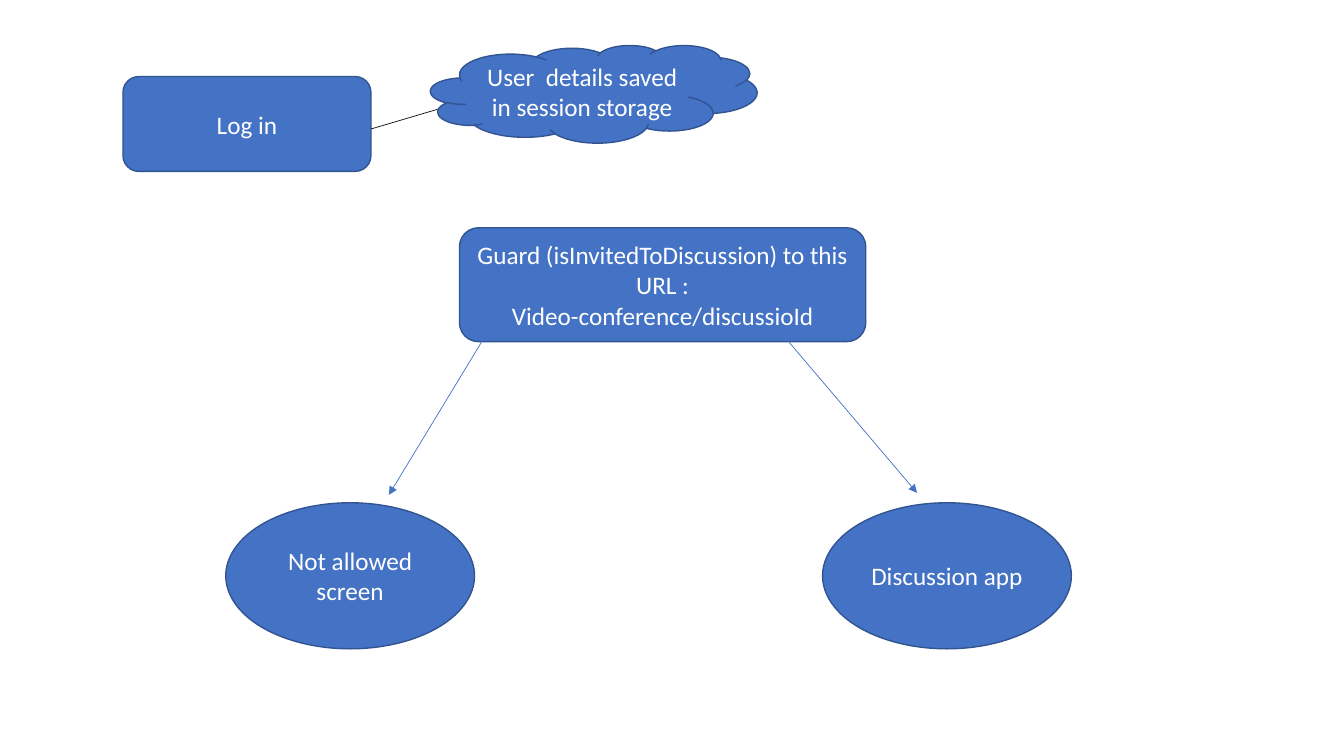
from pptx import Presentation
from pptx.dml.color import RGBColor
from pptx.enum.shapes import MSO_CONNECTOR as Connector, MSO_SHAPE as Shape
from pptx.enum.text import MSO_ANCHOR as Anchor, PP_ALIGN as Align
from pptx.oxml.ns import qn
from pptx.util import Cm, Pt
from lxml.etree import SubElement

BLUE = RGBColor(0x44, 0x72, 0xC4)
DARK_BLUE = RGBColor(0x32, 0x54, 0x91)
BLACK = RGBColor(0x0D, 0x0D, 0x0D)
WHITE = RGBColor(0xFF, 0xFF, 0xFF)

OUTCOME_TOP, OUTCOME_WIDTH, OUTCOME_HEIGHT = 12.67, 6.27, 3.68


def add_node(s, kind, left, top, width, height, *lines):
    """Add a filled shape with centred text, its lines split by line breaks."""
    sp = s.shapes.add_shape(kind, Cm(left), Cm(top), Cm(width), Cm(height))
    sp.shadow.inherit = False
    sp.fill.solid()
    sp.fill.fore_color.rgb = BLUE
    sp.line.color.rgb = DARK_BLUE
    sp.line.width = Pt(1)
    tf = sp.text_frame
    tf.word_wrap = True
    tf.vertical_anchor = Anchor.MIDDLE
    p = tf.paragraphs[0]
    p.alignment = Align.CENTER
    for i, line in enumerate(lines):
        if i:
            p.add_line_break()
        r = p.add_run()
        r.text = line
        r.font.name = "Calibri"
        r.font.size = Pt(18)
        r.font.color.rgb = WHITE


def add_arrow(s, x1, y1, x2, y2, color):
    arrow = s.shapes.add_connector(Connector.STRAIGHT, Cm(x1), Cm(y1), Cm(x2), Cm(y2))
    arrow.line.color.rgb = color
    arrow.line.width = Pt(0.5)
    SubElement(arrow.line._get_or_add_ln(), qn("a:tailEnd"), type="triangle")
    SubElement(arrow._element.spPr, qn("a:effectLst"))


def add_outcome(s, left, text):
    add_node(s, Shape.OVAL, left, OUTCOME_TOP, OUTCOME_WIDTH, OUTCOME_HEIGHT, text)


def main():
    prs = Presentation()
    prs.slide_width, prs.slide_height = Cm(33.87), Cm(19.05)
    s = prs.slides.add_slide(prs.slide_layouts[6])

    add_node(s, Shape.ROUNDED_RECTANGLE, 3.1, 1.93, 6.25, 2.39, "Log in")
    add_node(s, Shape.ROUNDED_RECTANGLE, 11.58, 5.74, 10.24, 2.87,
             "Guard (isInvitedToDiscussion) to this URL :",
             "Video-conference/discussioId")
    # The cloud covers the head of the arrow that leads to it.
    add_arrow(s, 9.35, 3.25, 11.58, 2.59, BLACK)
    add_node(s, Shape.CLOUD, 10.85, 1.14, 8.23, 2.46,
             "User  details saved in session storage")
    add_arrow(s, 19.79, 8.51, 23.11, 12.42, BLUE)
    add_arrow(s, 12.42, 8.15, 9.8, 12.47, BLUE)
    add_outcome(s, 20.73, "Discussion app")
    add_outcome(s, 5.69, "Not allowed screen")

    prs.save("out.pptx")


if __name__ == "__main__":
    main()
